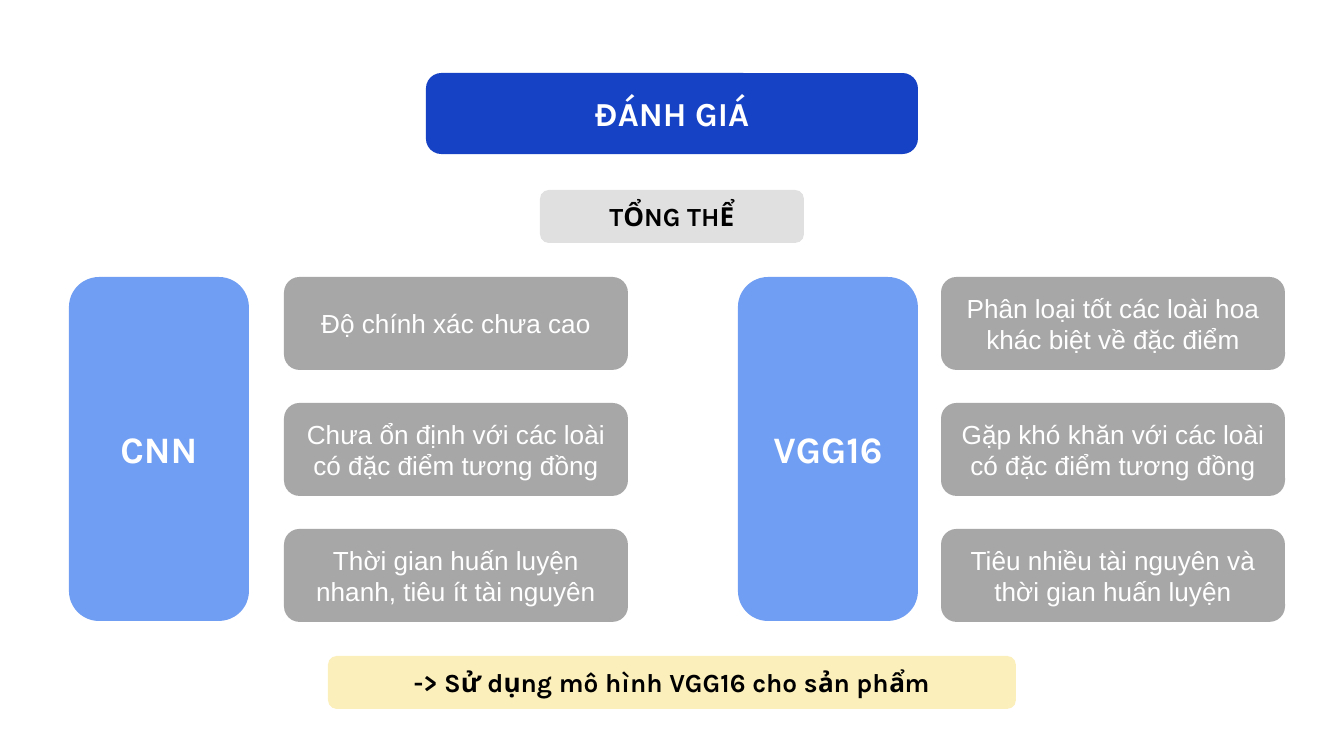
from dataclasses import dataclass

from lxml import etree
from pptx import Presentation
from pptx import util as u
from pptx.dml.color import RGBColor
from pptx.enum import shapes, text
from pptx.oxml.ns import qn

PX = 914400 / 134.4  # EMU in one px


@dataclass(frozen=True)
class Theme:
    blue: str = "1642C5"
    light_blue: str = "709EF2"
    pale_gray: str = "E0E0E0"
    gray: str = "8C8A8A"
    yellow: str = "F7D95A"
    white: str = "FFFFFF"
    black: str = "000000"
    heading_font: str = "Karla"
    body_font: str = "Arial"
    title_size: int = 18
    model_size: int = 20
    body_size: int = 14


def emu(px):
    return u.Emu(round(px * PX))


class Painter:
    def __init__(self, page, theme):
        self.page = page
        self.theme = theme

    def box(self, label, place, fill, size, color, bold=True, opacity=100, corner=0.1667):
        """Rounded box with one centred label; place is left, top, width, height."""
        box = self.page.shapes.add_shape(
            shapes.MSO_SHAPE.ROUNDED_RECTANGLE, *map(emu, place))
        box.adjustments[0] = corner
        box.shadow.inherit = False
        box.line.fill.background()
        box.fill.solid()
        box.fill.fore_color.rgb = RGBColor.from_string(fill)
        if opacity < 100:
            tint = box.fill._xPr.find(qn("a:solidFill"))[0]
            etree.SubElement(tint, qn("a:alpha"), val=str(opacity * 1000))

        frame = box.text_frame
        frame.word_wrap = True
        frame.vertical_anchor = text.MSO_ANCHOR.MIDDLE
        para = frame.paragraphs[0]
        para.alignment = text.PP_ALIGN.CENTER
        span = para.add_run()
        span.text = label
        span.font.name = self.theme.heading_font if bold else self.theme.body_font
        span.font.size = u.Pt(size)
        span.font.bold = bold
        span.font.color.rgb = RGBColor.from_string(color)

    def model(self, name, left, traits, traits_left):
        """Tall model card with its column of traits."""
        theme = self.theme
        top, height, step = 277, 93, 126
        self.box(name, (left, top, 180, 344), theme.light_blue, theme.model_size, theme.white)
        for row, trait in enumerate(traits):
            self.box(trait, (traits_left, top + row * step, 344, height), theme.gray,
                     theme.body_size, theme.white, bold=False, opacity=75)


def main():
    theme = Theme()
    deck = Presentation()
    deck.slide_width, deck.slide_height = emu(1344), emu(756)
    painter = Painter(deck.slides.add_slide(deck.slide_layouts[6]), theme)

    # Headings
    painter.box("ĐÁNH GIÁ", (426, 73, 492, 81), theme.blue,
                theme.title_size, theme.white, corner=0.19)
    painter.box("TỔNG THỂ", (540, 190, 264, 53), theme.pale_gray,
                theme.body_size, theme.black)

    # Models compared
    painter.model("CNN", 69, [
        "Độ chính xác chưa cao",
        "Chưa ổn định với các loài có đặc điểm tương đồng",
        "Thời gian huấn luyện nhanh, tiêu ít tài nguyên",
    ], 284)
    painter.model("VGG16", 738, [
        "Phân loại tốt các loài hoa khác biệt về đặc điểm",
        "Gặp khó khăn với các loài có đặc điểm tương đồng",
        "Tiêu nhiều tài nguyên và thời gian huấn luyện",
    ], 941)

    # Conclusion
    painter.box("-> Sử dụng mô hình VGG16 cho sản phẩm", (328, 656, 688, 53),
                theme.yellow, theme.body_size, theme.black, opacity=41)

    deck.save("out.pptx")


if __name__ == "__main__":
    main()
